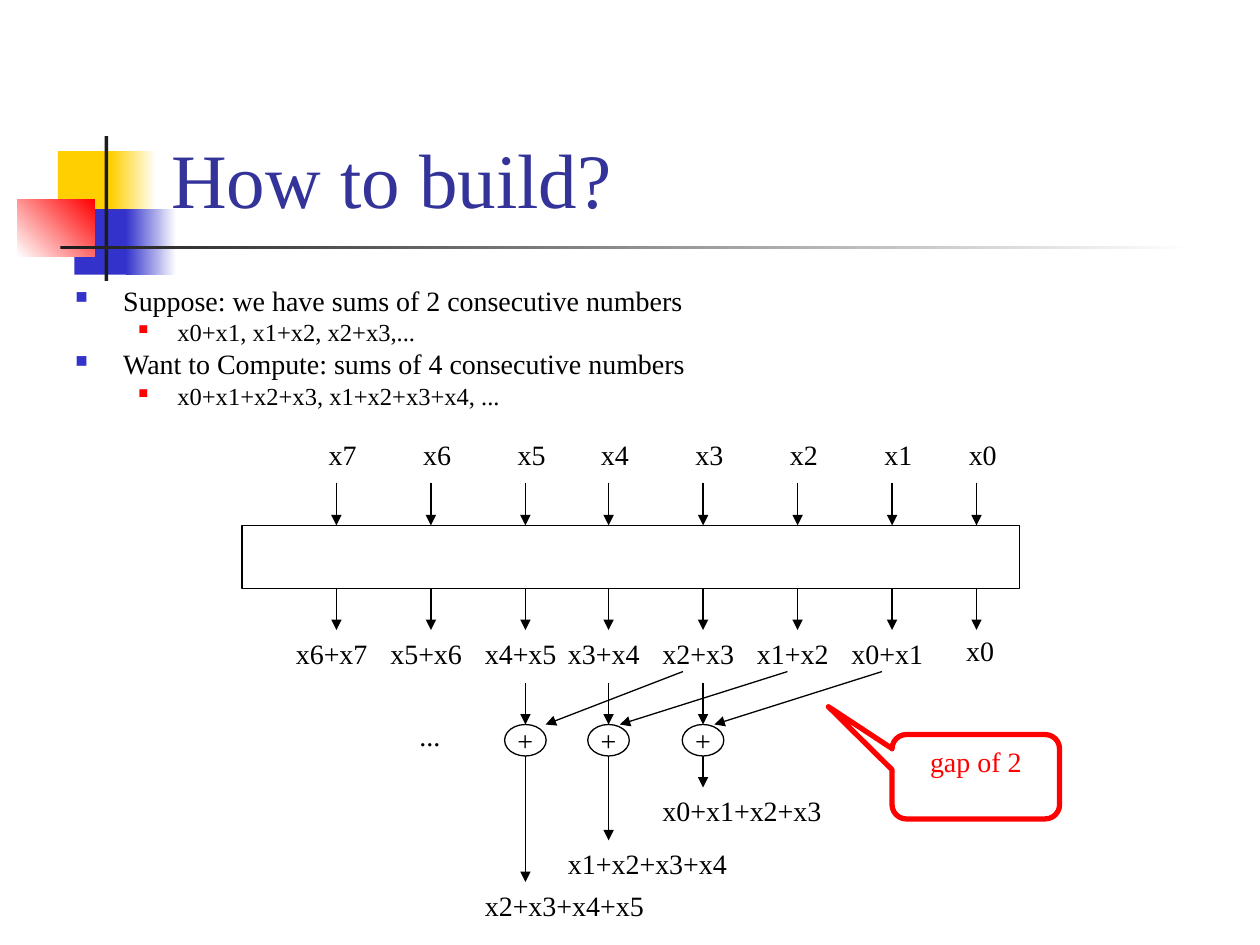
"""Build the slide on summing four consecutive numbers from sums of two."""
from lxml.etree import SubElement
from pptx import Presentation
from pptx.dml.color import RGBColor
from pptx.enum.shapes import MSO_CONNECTOR, MSO_SHAPE as SHAPE
from pptx.enum.text import MSO_ANCHOR as ANCHOR, PP_ALIGN as ALIGN
from pptx.oxml.ns import qn
from pptx.util import Inches, Pt

COLORS = {
    "yellow": "FFCF01", "blue": "3333CC", "red": "FF0000", "dark": "1C1C1C",
    "white": "FFFFFF", "title": "333399", "black": "000000",
}
FONT = "Times New Roman"
TITLE = "How to build?"
BULLETS = [
    (0, "Suppose: we have sums of 2 consecutive numbers"),
    (1, "x0+x1, x1+x2, x2+x3,..."),
    (0, "Want to Compute: sums of 4 consecutive numbers"),
    (1, "x0+x1+x2+x3, x1+x2+x3+x4, ..."),
]
LEVELS = [
    {"size": 16, "before": 4, "margin": 0.38, "hang": 0.38, "color": "blue", "scale": 60},
    {"size": 14, "before": 3.5, "margin": 0.81, "hang": 0.31, "color": "red", "scale": 55},
]
ORNAMENT = [
    ((0.46, 1.2, 0.48, 0.52), ["yellow"], 0),
    ((0.88, 1.2, 0.36, 0.52), ["yellow", "white"], 0),
    ((0.59, 1.66, 0.46, 0.52), ["blue"], 0),
    ((1, 1.66, 0.4, 0.52), ["blue", "white"], 0),
    ((0.14, 1.58, 0.61, 0.46), ["white", "red"], 45),
    ((0.83, 1.08, 0.03, 1.15), ["dark"], 0),
    ((0.48, 1.95, 9, 0.03), ["dark", "white"], 0),
]
COLUMNS = [7.75, 7.08, 6.33, 5.58, 4.83, 4.17, 3.42, 2.67]
ADDERS = [
    {"column": 3, "sum": "x0+x1+x2+x3", "bottom": 6.25, "feed": (7, 5.67)},
    {"column": 4, "sum": "x1+x2+x3+x4", "bottom": 6.67, "feed": (6.25, 4.92)},
    {"column": 5, "sum": "x2+x3+x4+x5", "bottom": 7, "feed": (5.42, 4.33)},
]
BOX_TOP, BOX_BOTTOM = 4.17, 4.67
ADDER_TOP, ADDER_BOTTOM = 5.75, 6


def rgb(color):
    return RGBColor.from_string(COLORS[color])


def style(paragraph, size=16, color="black"):
    paragraph.font.name = FONT
    paragraph.font.size = Pt(size)
    paragraph.font.color.rgb = rgb(color)


def add_text(slide, box, text, size=16, color="black"):
    frame = slide.shapes.add_textbox(*map(Inches, box)).text_frame
    frame.word_wrap = False
    frame.text = text
    style(frame.paragraphs[0], size, color)
    return frame


def add_arrow(slide, x1, y1, x2, y2):
    arrow = slide.shapes.add_connector(
        MSO_CONNECTOR.STRAIGHT, *map(Inches, (x1, y1, x2, y2)))
    arrow.line.color.rgb = rgb("black")
    arrow.line.width = Pt(0.75)
    SubElement(arrow.line._get_or_add_ln(), qn("a:tailEnd"), type="triangle")
    SubElement(arrow._element.spPr, qn("a:effectLst"))


def add_outline(slide, kind, box, text="", color="black", width=0.75):
    shape = slide.shapes.add_shape(kind, *map(Inches, box))
    shape.shadow.inherit = False
    shape.fill.background()
    shape.line.color.rgb = rgb(color)
    shape.line.width = Pt(width)
    if text:
        shape.text_frame.text = text
        shape.text_frame.paragraphs[0].alignment = ALIGN.CENTER
        style(shape.text_frame.paragraphs[0], color=color)
    return shape


def add_ornament(slide):
    for box, fills, angle in ORNAMENT:
        bar = slide.shapes.add_shape(SHAPE.RECTANGLE, *map(Inches, box))
        bar.shadow.inherit = False
        bar.line.fill.background()
        if len(fills) == 1:
            bar.fill.solid()
            bar.fill.fore_color.rgb = rgb(fills[0])
        else:
            bar.fill.gradient()
            bar.fill.gradient_angle = angle
            for stop, color in zip(bar.fill.gradient_stops, fills):
                stop.color.rgb = rgb(color)


def add_bullets(slide):
    frame = slide.shapes.add_textbox(*map(Inches, (0.5, 2.25, 5.67, 1.08))).text_frame
    frame.word_wrap = True
    for index, (depth, text) in enumerate(BULLETS):
        level = LEVELS[depth]
        item = frame.add_paragraph() if index else frame.paragraphs[0]
        item.text = text
        item.level = depth
        item.line_spacing = 0.8
        item.space_before = Pt(level["before"] if index else 0)
        props = item._p.get_or_add_pPr()
        props.set("marL", str(Inches(level["margin"])))
        props.set("indent", str(-Inches(level["hang"])))
        tint = SubElement(props, qn("a:buClr"))
        SubElement(tint, qn("a:srgbClr"), val=COLORS[level["color"]])
        SubElement(props, qn("a:buSzPct"), val=str(level["scale"] * 1000))
        SubElement(props, qn("a:buChar"), char="■")
        style(item, level["size"])


def add_pair_sums(slide):
    add_outline(slide, SHAPE.RECTANGLE, (1.92, BOX_TOP, 6.17, BOX_BOTTOM - BOX_TOP))
    for number, center in enumerate(COLUMNS):
        add_text(slide, (center - 0.16, 3.42, 0.42, 0.37), f"x{number}")
        add_arrow(slide, center, 3.83, center, BOX_TOP)
        add_arrow(slide, center, BOX_BOTTOM, center, 5)
        if number:
            add_text(slide, (center - 0.42, 5, 0.77, 0.37), f"x{number - 1}+x{number}")
        else:
            add_text(slide, (center - 0.18, 4.98, 0.42, 0.37), "x0")


def add_adders(slide):
    for adder in ADDERS:
        center, bottom = COLUMNS[adder["column"]], adder["bottom"]
        start, end = adder["feed"]
        plus = add_outline(
            slide, SHAPE.OVAL,
            (center - 0.165, ADDER_TOP, 0.33, ADDER_BOTTOM - ADDER_TOP), "+")
        plus.text_frame.word_wrap = False
        plus.text_frame.vertical_anchor = ANCHOR.MIDDLE
        add_arrow(slide, center, 5.42, center, ADDER_TOP)
        add_arrow(slide, start, 5.33, end, ADDER_TOP)
        add_arrow(slide, center, ADDER_BOTTOM, center, bottom)
        add_text(slide, (center - 0.42, bottom, 1.46, 0.37), adder["sum"])
    add_text(slide, (3.23, 5.65, 0.37, 0.37), "...")


def main():
    deck = Presentation()
    deck.slide_width, deck.slide_height = Inches(10), Inches(7.5)
    slide = deck.slides.add_slide(deck.slide_layouts[6])
    add_ornament(slide)
    title = add_text(slide, (1.26, 0.23, 8.52, 1.6), TITLE, 44, "title")
    title.word_wrap = True
    title.vertical_anchor = ANCHOR.BOTTOM
    add_bullets(slide)
    add_pair_sums(slide)
    add_adders(slide)
    callout = add_outline(slide, SHAPE.ROUNDED_RECTANGULAR_CALLOUT,
                          (7.08, 5.83, 1.33, 0.67), "gap of 2", "red", 3)
    callout.text_frame.vertical_anchor = ANCHOR.TOP
    for index, value in enumerate((-0.88, -0.83, 0.17)):
        callout.adjustments[index] = value
    deck.save("out.pptx")


if __name__ == "__main__":
    main()
